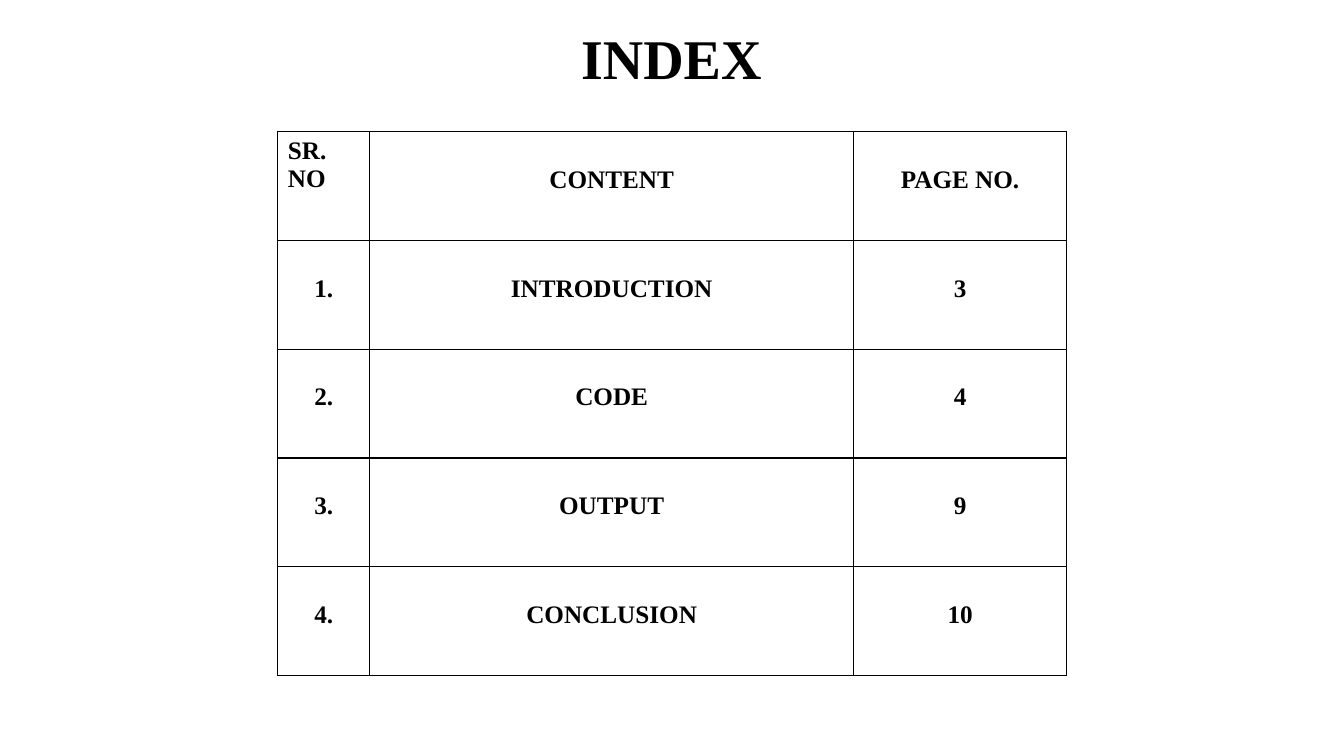
from lxml import etree
from pptx import Presentation
from pptx.dml.color import RGBColor
from pptx.enum import text as t
from pptx.oxml import ns
from pptx.util import Cm, Pt

BLACK = RGBColor(0, 0, 0)
WHITE = RGBColor(255, 255, 255)
FACE = "Times New Roman"
LEFT, MID = t.PP_ALIGN.LEFT, t.PP_ALIGN.CENTER
ROWS = [
    ("SR.\nNO", "CONTENT", "PAGE NO."),
    ("1.", "INTRODUCTION", "3"),
    ("2.", "CODE", "4"),
    ("3.", "OUTPUT", "9"),
    ("4.", "CONCLUSION", "10"),
]
COLS = [2.32, 12.19, 5.37]
HIGH = 2.74


def style(frame, size, align):
    form = {"name": FACE, "size": Pt(size), "bold": True}
    for para in frame.paragraphs:
        para.alignment = align
        for run in para.runs:
            for key, val in form.items():
                setattr(run.font, key, val)
            run.font.color.rgb = BLACK


def border(cell):
    props = cell._tc.get_or_add_tcPr()
    for side in ("lnL", "lnR", "lnT", "lnB"):
        line = etree.SubElement(props, ns.qn("a:" + side), w=str(Pt(1)))
        fill = etree.SubElement(line, ns.qn("a:solidFill"))
        etree.SubElement(fill, ns.qn("a:srgbClr"), val=str(BLACK))


def add_title(slide, words):
    title = slide.shapes.title
    place = {"left": Cm(8.46), "top": Cm(0.46), "width": Cm(16.92), "height": Cm(1.96)}
    for key, val in place.items():
        setattr(title, key, val)
    frame = title.text_frame
    frame.text = words
    frame.auto_size = t.MSO_AUTO_SIZE.NONE
    frame.vertical_anchor = t.MSO_ANCHOR.TOP
    style(frame, 40, MID)


def add_index(slide):
    grid = slide.shapes.add_table(
        len(ROWS), len(COLS), Cm(7), Cm(3.32), Cm(sum(COLS)), Cm(HIGH * len(ROWS))
    ).table
    for col, wide in zip(grid.columns, COLS):
        col.width = Cm(wide)
    for row, words in zip(grid.rows, ROWS):
        row.height = Cm(HIGH)
        for cell, word in zip(row.cells, words):
            cell.text = word
            split = "\n" in word
            cell.margin_top = Cm(0.13 if split else 0.86)
            style(cell.text_frame, 18, LEFT if split else MID)
            border(cell)
            cell.fill.solid()
            cell.fill.fore_color.rgb = WHITE


def main():
    deck = Presentation()
    deck.slide_width, deck.slide_height = Cm(33.87), Cm(19.05)
    slide = deck.slides.add_slide(deck.slide_layouts[5])
    add_title(slide, "INDEX")
    add_index(slide)
    deck.save("out.pptx")


if __name__ == "__main__":
    main()
